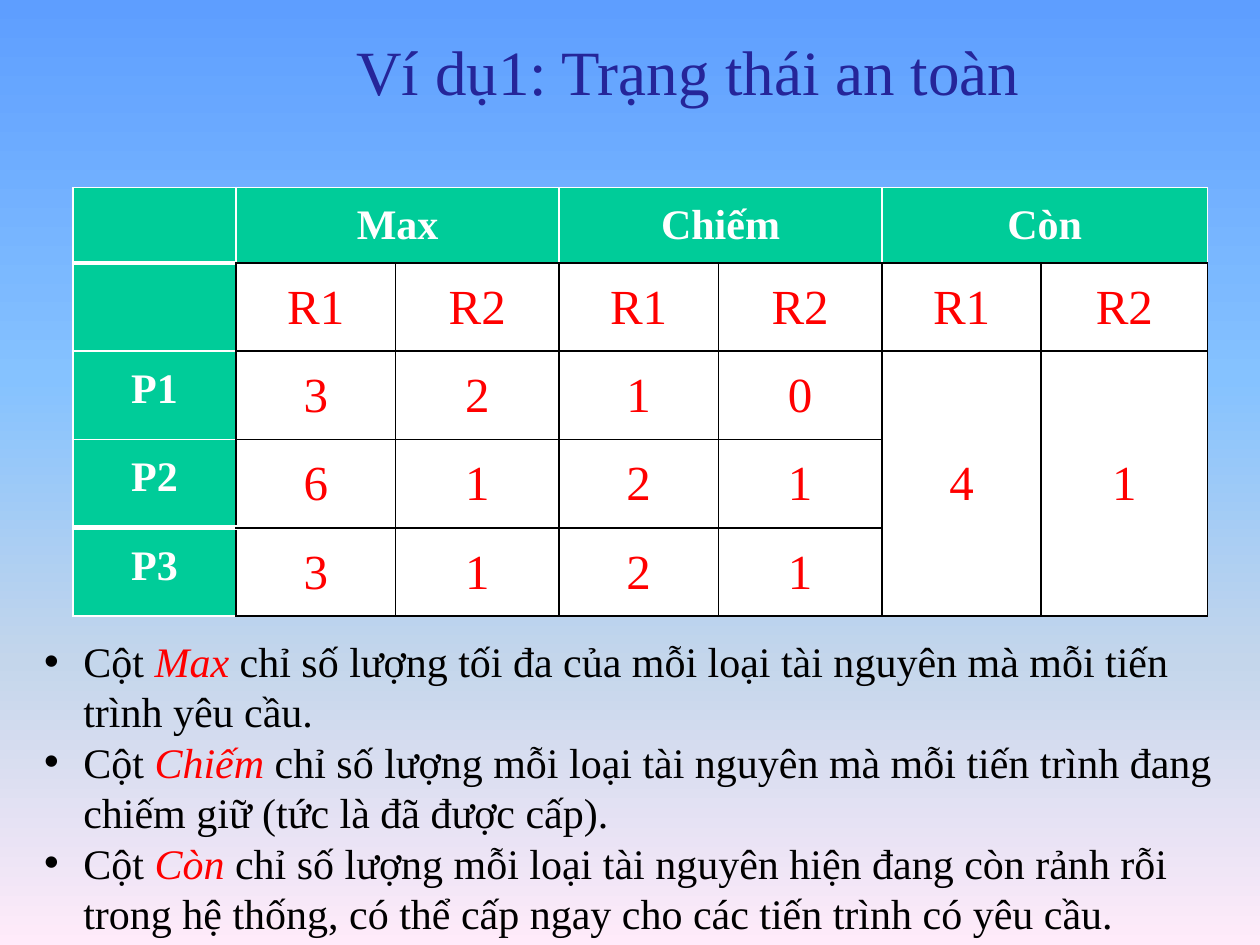
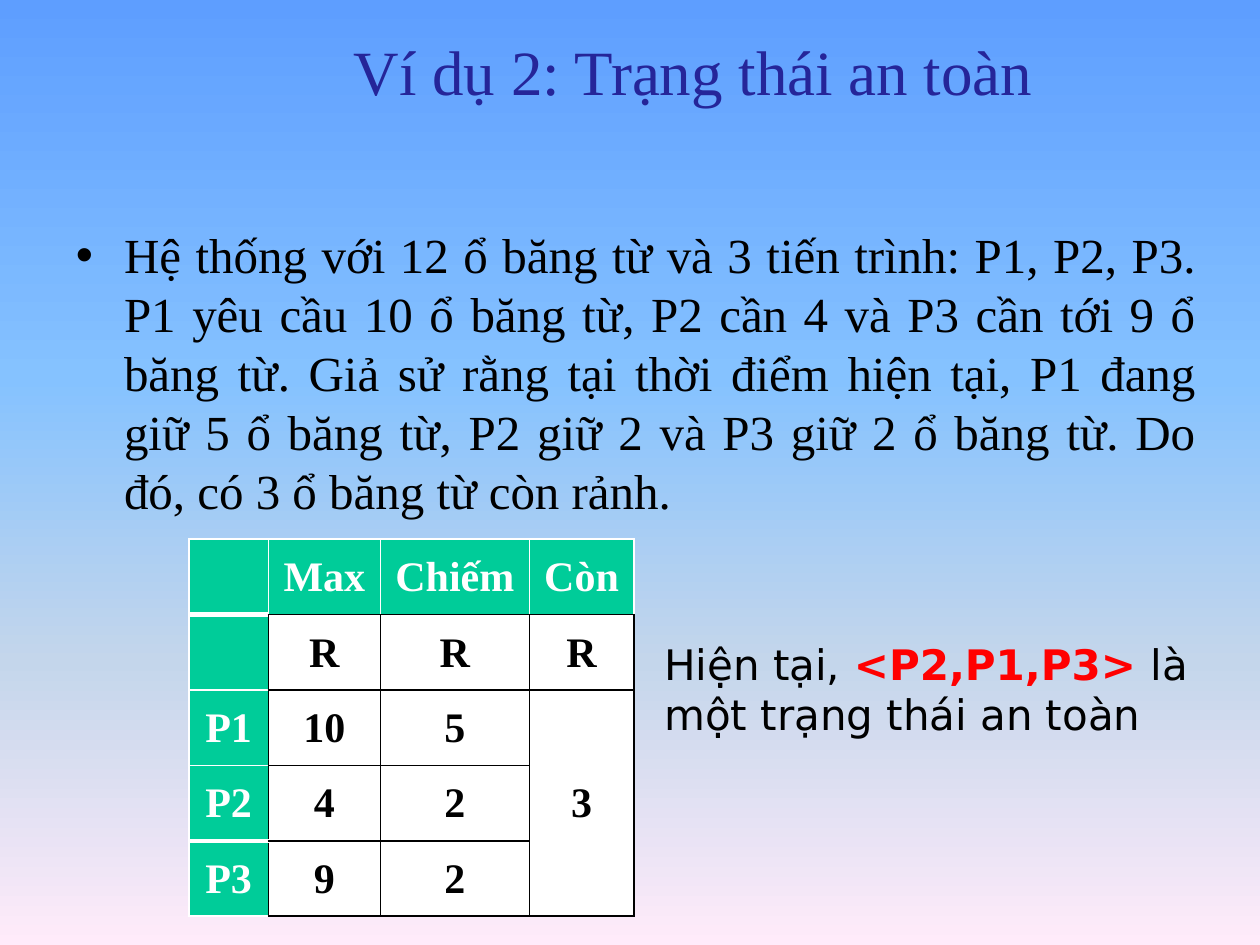
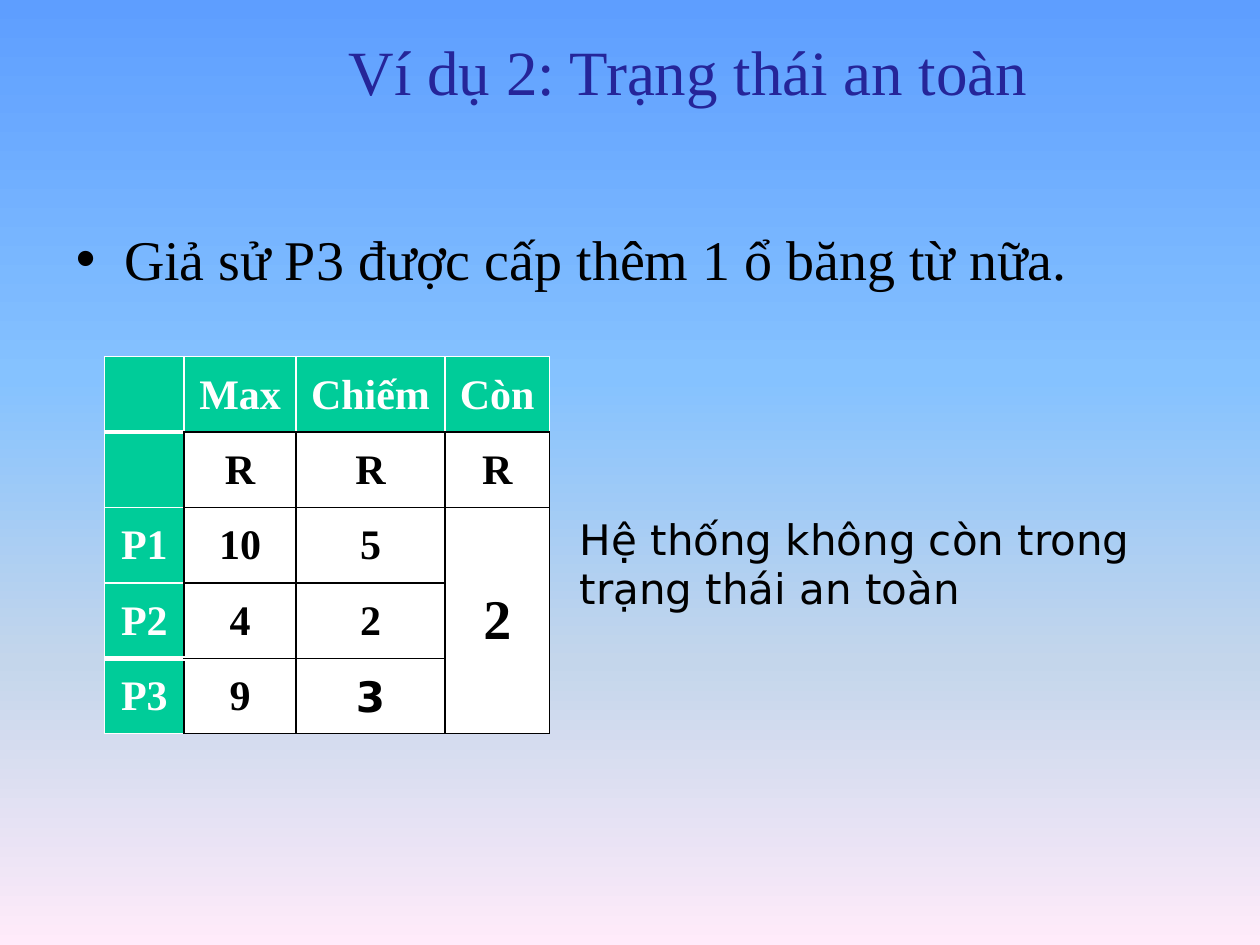
from dataclasses import dataclass

import lxml.etree
import pptx
import pptx.dml.color
import pptx.enum.text
import pptx.oxml.ns
import pptx.util

Cm, Pt = pptx.util.Cm, pptx.util.Pt
ALIGN = pptx.enum.text.PP_ALIGN
ANCHOR = pptx.enum.text.MSO_ANCHOR
qn = pptx.oxml.ns.qn


@dataclass(frozen=True)
class Theme:
    """Colours, fonts and type sizes of the deck."""
    sky: tuple = ((0, "5E9EFF"), (40, "85C2FF"), (70, "C4D6EB"), (100, "FFEBFA"))
    title: str = "252599"
    ink: str = "000000"
    accent: str = "FF0000"
    header: str = "00CC99"
    paper: str = "FFFFFF"
    serif: str = "Times New Roman"
    sans: str = "DejaVu Sans"
    title_size: int = 36
    large: int = 32
    medium: int = 28
    small: int = 24


THEME = Theme()


def rgb(value):
    """Turn a hex string into a colour."""
    return pptx.dml.color.RGBColor.from_string(value)


def write(paragraph, text, font=THEME.serif, size=THEME.small, color=THEME.ink,
          bold=False, italic=False):
    """Add one formatted run to a paragraph."""
    run = paragraph.add_run()
    run.text = text
    run.font.name, run.font.size = font, Pt(size)
    run.font.bold, run.font.italic = bold, italic
    run.font.color.rgb = rgb(color)


def write_runs(paragraph, runs, **base):
    """Write plain strings, or (text, changes) pairs, in a base format."""
    for run in runs:
        text, changes = (run, {}) if isinstance(run, str) else run
        write(paragraph, text, **{**base, **changes})


def indent(paragraph, left, first=0.0):
    """Set the left and first-line indents in centimetres."""
    properties = paragraph._p.get_or_add_pPr()
    properties.set("marL", str(Cm(left)))
    properties.set("indent", str(Cm(first)))


def remark(paragraph, runs, left, before):
    """Format a paragraph as an unbulleted sans-serif remark."""
    paragraph.alignment = ALIGN.LEFT
    paragraph.line_spacing = Pt(28.3)
    paragraph.space_before = Pt(before)
    indent(paragraph, left)
    lxml.etree.SubElement(paragraph._p.get_or_add_pPr(), qn("a:buNone"))
    write_runs(paragraph, runs, font=THEME.sans)


def set_borders(cell, edges):
    """Draw the cell edges given as {side: (colour, points)}."""
    properties = cell._tc.get_or_add_tcPr()
    for position, side in enumerate("LRTB"):
        color, width = edges[side]
        line = lxml.etree.Element(qn("a:ln" + side), w=str(Pt(width)))
        fill = lxml.etree.SubElement(line, qn("a:solidFill"))
        lxml.etree.SubElement(fill, qn("a:srgbClr"), val=color)
        properties.insert(position, line)


def cell_edges(row, column):
    """Return the edges of a cell: white on headers, black elsewhere."""
    white, thick, black = (THEME.paper, 1), (THEME.paper, 3), (THEME.ink, 1)
    if row == 0:
        return dict(L=white, R=white, T=white, B=black if column else thick)
    if column == 0:
        return dict(L=white, R=black, T=thick if row in (1, 4) else white,
                    B=thick if row == 3 else white)
    return dict.fromkeys("LRTB", black)


class Deck:
    """The presentation, its style and the current slide."""

    def __init__(self):
        """Set the slide size and the shared background."""
        self.file = pptx.Presentation()
        self.file.slide_width, self.file.slide_height = Cm(25.4), Cm(19.05)
        self.slide = None
        master = self.file.slide_master
        fill = master.background.fill
        fill.gradient()
        fill.gradient_angle = 270
        stops = master.element.find(".//" + qn("a:gsLst"))
        stops.clear()
        for percent, color in THEME.sky:
            stop = lxml.etree.SubElement(stops, qn("a:gs"), pos=str(percent * 1000))
            lxml.etree.SubElement(stop, qn("a:srgbClr"), val=color)

    def frame(self, shape, box, top=0.03, anchor=ANCHOR.TOP):
        """Place a text shape and return its prepared text frame."""
        shape.left, shape.top, shape.width, shape.height = map(Cm, box)
        frame = shape.text_frame
        frame.word_wrap = True
        frame.auto_size = pptx.enum.text.MSO_AUTO_SIZE.NONE
        frame.vertical_anchor = anchor
        frame.margin_left = frame.margin_right = frame.margin_bottom = 0
        frame.margin_top = Cm(top)
        return frame

    def new_slide(self, title, left, width, first):
        """Start a slide with its title."""
        self.slide = self.file.slides.add_slide(self.file.slide_layouts[1])
        frame = self.frame(self.slide.shapes.title, (left, 0.61, width, 1.57),
                           anchor=ANCHOR.MIDDLE)
        heading = frame.paragraphs[0]
        heading.alignment = ALIGN.CENTER
        indent(heading, 0.03, first)
        write(heading, title, size=THEME.title_size, color=THEME.title)

    def bullets(self, box, items, size, hang, align=ALIGN.LEFT):
        """Fill the body placeholder with a bulleted list."""
        frame = self.frame(self.slide.placeholders[1], box)
        for number, runs in enumerate(items):
            item = frame.add_paragraph() if number else frame.paragraphs[0]
            item.alignment = align
            item.space_before = Pt(0 if number else 1)
            indent(item, hang + 0.03, -hang)
            write_runs(item, runs, size=size)
        return frame

    def note(self, box, runs):
        """Add a remark in a text box of its own."""
        shape = self.slide.shapes.add_textbox(*map(Cm, box))
        remark(self.frame(shape, box, top=0.08).paragraphs[0], runs, 0.03, 2.4)

    def table(self, left, top, widths, heights, rows, merges, **body):
        """Add a table with green headers; body formats the other cells."""
        grid = self.slide.shapes.add_table(
            len(heights), len(widths), Cm(left), Cm(top),
            Cm(sum(widths)), Cm(sum(heights))).table
        grid.first_row = grid.horz_banding = False
        for column, width in zip(grid.columns, widths):
            column.width = Cm(width)
        for row, height in zip(grid.rows, heights):
            row.height = Cm(height)
        for first_row, first_column, last_row, last_column in merges:
            grid.cell(first_row, first_column).merge(grid.cell(last_row, last_column))
        for r, values in enumerate(rows):
            for c, value in enumerate(values):
                self.table_cell(grid.cell(r, c), r, c, value, body)

    def table_cell(self, cell, row, column, value, body):
        """Fill, outline and write one table cell."""
        is_header = row == 0 or column == 0
        style = dict(color=THEME.paper, bold=True) if is_header else body
        cell.fill.solid()
        cell.fill.fore_color.rgb = rgb(THEME.header if is_header else THEME.paper)
        set_borders(cell, cell_edges(row, column))
        cell.margin_left = cell.margin_right = cell.margin_bottom = 0
        if cell.is_merge_origin and not is_header:
            cell.margin_top = 0
            cell.vertical_anchor = ANCHOR.MIDDLE
        else:
            cell.margin_top = Pt(style.get("size", THEME.small) * 0.36)
        if value:
            paragraph = cell.text_frame.paragraphs[0]
            paragraph.alignment = ALIGN.CENTER
            write_runs(paragraph, [value], **style)

    def tape_table(self, left, top, held_by_p3, free):
        """Add the table of the tape drives held and still free."""
        self.table(left, top, (1.6, 2.26, 3, 2.11), [1.52] * 5, [
            ("", "Max", "Chiếm", "Còn"),
            ("", "R", "R", "R"),
            ("P1", "10", "5", free),
            ("P2", "4", "2", ""),
            ("P3", "9", held_by_p3, "")], [(2, 3, 4, 3)], bold=True)


deck = Deck()

deck.new_slide("Ví dụ1: Trạng thái an toàn", 2.97, 18.85, 2.92)
deck.table(
    1.47, 3.78, (3.29, 3.21, 3.3, 3.21, 3.3, 3.21, 3.35), [1.52] + [1.78] * 4, [
        ("", "Max", "", "Chiếm", "", "Còn", ""),
        ("",) + ("R1", "R2") * 3,
        ("P1", "3", "2", "1", "0", "4", "1"),
        ("P2", "6", "1", "2", "1", "", ""),
        ("P3", "3", "1", "2", "1", "", "")],
    [(0, c, 0, c + 1) for c in (1, 3, 5)] + [(2, c, 4, c) for c in (5, 6)],
    size=THEME.medium, color=THEME.accent)
columns = {
    "Max": "chỉ số lượng tối đa của mỗi loại tài nguyên mà mỗi tiến trình yêu cầu.",
    "Chiếm": "chỉ số lượng mỗi loại tài nguyên mà mỗi tiến trình đang chiếm giữ "
             "(tức là đã được cấp).",
    "Còn": "chỉ số lượng mỗi loại tài nguyên hiện đang còn rảnh rỗi trong hệ thống, "
           "có thể cấp ngay cho các tiến trình có yêu cầu.",
}
deck.bullets(
    (0.86, 12.78, 23.6, 6.17),
    [("Cột ", (name + " ", dict(color=THEME.accent, italic=True)), meaning)
     for name, meaning in columns.items()],
    THEME.small, 0.79)

deck.new_slide("Ví dụ 2: Trạng thái an toàn", 3.38, 18.42, 2.74)
deck.tape_table(3.81, 10.87, "2", "3")
problem = deck.bullets(
    (1.5, 4.5, 22.61, 10.39),
    [["Hệ thống với 12 ổ băng từ và 3 tiến trình: P1, P2, P3. P1 yêu cầu 10 ổ băng từ, "
      "P2 cần 4 và P3 cần tới 9 ổ băng từ. Giả sử rằng tại thời điểm hiện tại, P1 đang "
      "giữ 5 ổ băng từ, P2 giữ 2 và P3 giữ 2 ổ băng từ. Do đó, có 3 ổ băng từ còn rảnh."]],
    THEME.medium, 0.97, ALIGN.JUSTIFY)
remark(problem.add_paragraph(),
       ["Hiện tại, ", ("<P2,P1,P3> ", dict(color=THEME.accent, bold=True)),
        "là một trạng thái an toàn"], 11.89, 69)

deck.new_slide("Ví dụ 2: Trạng thái an toàn", 3.18, 18.62, 2.74)
deck.bullets((1.5, 4.5, 20.04, 1.42),
             [["Giả sử P3 được cấp thêm 1 ổ băng từ nữa."]], THEME.large, 0.97)
deck.tape_table(2.11, 7.19, ("3", dict(font=THEME.sans)), ("2", dict(size=THEME.large)))
deck.note((11.66, 10.29, 11.25, 2.08), ["Hệ thống không còn trong trạng thái an toàn"])

deck.file.save("out.pptx")
